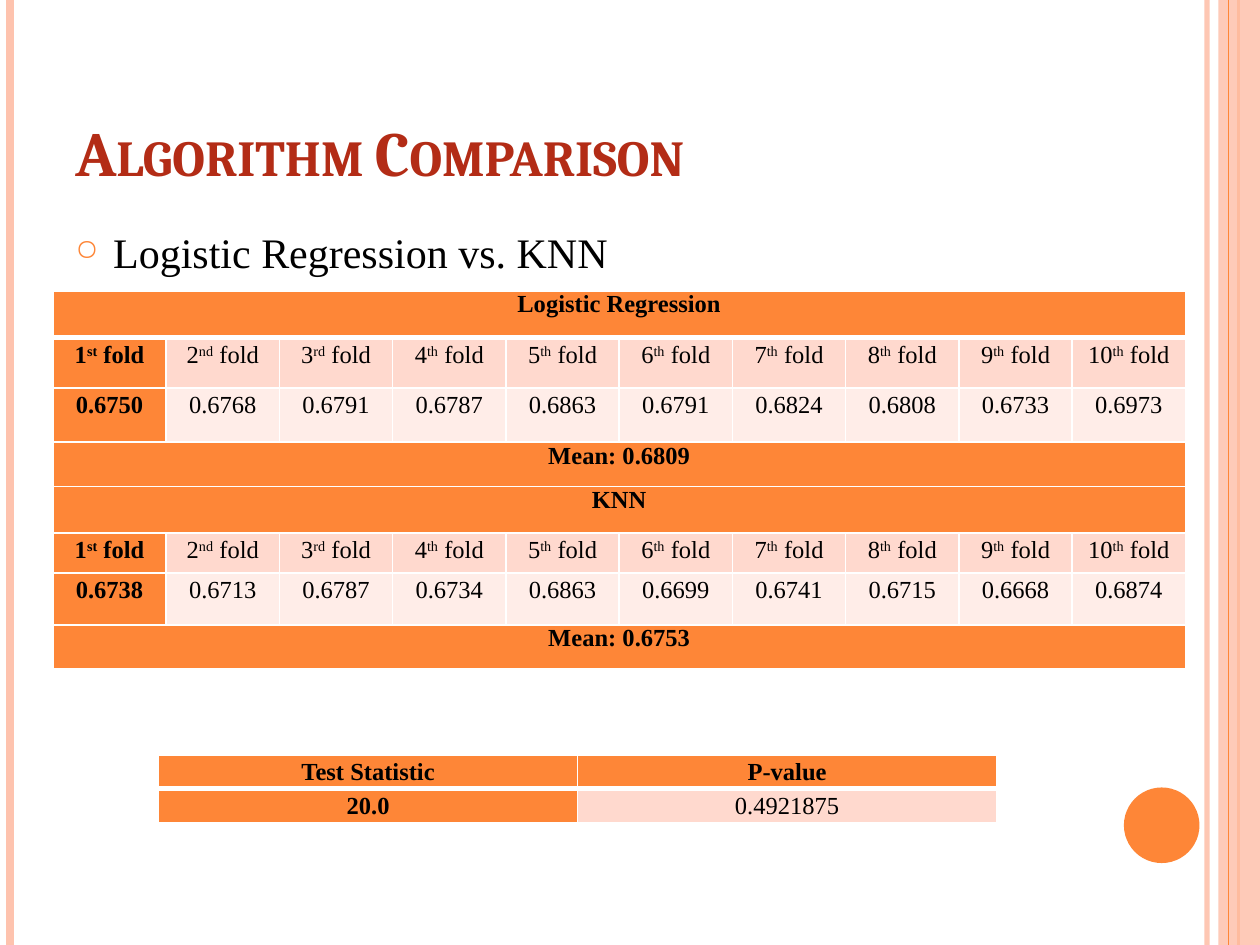
from lxml import etree
from pptx import Presentation
from pptx.dml.color import RGBColor
from pptx.enum.shapes import MSO_CONNECTOR, MSO_SHAPE
from pptx.enum.text import MSO_ANCHOR, PP_ALIGN
from pptx.oxml.ns import qn
from pptx.util import Inches, Pt

ORANGE = RGBColor(0xFE, 0x86, 0x37)
PEACH = RGBColor(0xFE, 0xC3, 0xAE)
LIGHT = RGBColor(0xFF, 0xD9, 0xCE)
PALE = RGBColor(0xFF, 0xED, 0xE8)
RED = RGBColor(0xB3, 0x2C, 0x16)
BLACK = RGBColor(0, 0, 0)
WHITE = RGBColor(0xFF, 0xFF, 0xFF)

BODY_FONT = "Times New Roman"
TITLE_FONT = "Cambria"
SLIDE_W, SLIDE_H = 10, 7.5

SUFFIXES = ["st", "nd", "rd"] + ["th"] * 7
FOLDS = [(str(i), suffix, " fold") for i, suffix in enumerate(SUFFIXES, 1)]
LOGISTIC = ["0.6750", "0.6768", "0.6791", "0.6787", "0.6863",
            "0.6791", "0.6824", "0.6808", "0.6733", "0.6973"]
KNN = ["0.6738", "0.6713", "0.6787", "0.6734", "0.6863",
       "0.6699", "0.6741", "0.6715", "0.6668", "0.6874"]
FOLD_ROWS = [
    (0.37, ["Logistic Regression"], ORANGE),
    (0.4, FOLDS, LIGHT),
    (0.43, LOGISTIC, PALE),
    (0.35, ["Mean: 0.6809"], ORANGE),
    (0.37, ["KNN"], ORANGE),
    (0.32, FOLDS, LIGHT),
    (0.41, KNN, PALE),
    (0.35, ["Mean: 0.6753"], ORANGE),
]
TEST_ROWS = [
    (0.25, ["Test Statistic", "P-value"], ORANGE),
    (0.25, ["20.0", "0.4921875"], LIGHT),
]


def set_alpha(fill_parent, percent):
    color = next(fill_parent.iter(qn("a:srgbClr")))
    etree.SubElement(color, qn("a:alpha"), val=str(percent * 1000))


def style_font(font, name, size, color, bold=False):
    font.name = name
    font.size = Pt(size)
    font.color.rgb = color
    font.bold = bold


def add_rule(slide, x, color, width):
    line = slide.shapes.add_connector(
        MSO_CONNECTOR.STRAIGHT, Inches(x), 0, Inches(x), Inches(SLIDE_H))
    line.line.color.rgb = color
    line.line.width = Pt(width)
    etree.SubElement(line._element.spPr, qn("a:effectLst"))
    return line


def add_filled(slide, shape_type, box, color):
    sp = slide.shapes.add_shape(shape_type, *map(Inches, box))
    sp.shadow.inherit = False
    sp.fill.solid()
    sp.fill.fore_color.rgb = color
    sp.line.fill.background()
    return sp


def add_side_decoration(slide):
    inner = add_rule(slide, 9.58, PEACH, 3)
    set_alpha(inner._element.spPr, 93)
    add_rule(slide, 0.08, PEACH, 4.5)
    add_rule(slide, 9.83, ORANGE, 1.5)
    band = add_filled(slide, MSO_SHAPE.RECTANGLE,
                      (9.67, 0, 0.33, SLIDE_H), PEACH)
    set_alpha(band._element.spPr, 87)
    add_rule(slide, 9.75, ORANGE, 0.75)
    add_filled(slide, MSO_SHAPE.OVAL, (8.92, 6.25, 0.6, 0.6), ORANGE)


def add_text(slide, box, text):
    tf = slide.shapes.add_textbox(*map(Inches, box)).text_frame
    tf.word_wrap = True
    tf.text = text
    return tf


def add_title(slide, box, text):
    tf = add_text(slide, box, text)
    tf.vertical_anchor = MSO_ANCHOR.BOTTOM
    r = tf.paragraphs[0].runs[0]
    style_font(r.font, TITLE_FONT, 36, RED, bold=True)
    r._r.get_or_add_rPr().set("cap", "small")


def add_bullet(slide, box, text):
    p = add_text(slide, box, text).paragraphs[0]
    pPr = p._p.get_or_add_pPr()
    pPr.set("marL", str(Inches(0.3)))
    pPr.set("indent", str(-Inches(0.3)))
    color = etree.SubElement(pPr, qn("a:buClr"))
    etree.SubElement(color, qn("a:srgbClr"), val=str(ORANGE))
    etree.SubElement(pPr, qn("a:buSzPct"), val="70000")
    etree.SubElement(pPr, qn("a:buChar"), char="○")
    style_font(p.runs[0].font, BODY_FONT, 24, BLACK)


def set_borders(cell, top, bottom):
    tcPr = cell._tc.get_or_add_tcPr()
    for side, width in (("L", 1), ("R", 1), ("T", top), ("B", bottom)):
        ln = etree.SubElement(tcPr, qn(f"a:ln{side}"), w=str(Pt(width)))
        fill = etree.SubElement(ln, qn("a:solidFill"))
        etree.SubElement(fill, qn("a:srgbClr"), val=str(WHITE))


def fill_cell_text(cell, content, bold, spacing):
    """Write a string, or a (number, superscript, rest) triple."""
    p = cell.text_frame.paragraphs[0]
    p.alignment = PP_ALIGN.CENTER
    p.line_spacing = spacing
    parts = (content,) if isinstance(content, str) else content
    for i, part in enumerate(parts):
        r = p.add_run()
        r.text = part
        style_font(r.font, BODY_FONT, 14, BLACK, bold)
        if i == 1:
            r._r.get_or_add_rPr().set("baseline", "30000")


def add_results_table(slide, box, rows, n_cols):
    """Rows are (height, cells, fill); a single cell spans the whole row."""
    table = slide.shapes.add_table(
        len(rows), n_cols, *map(Inches, box)).table
    for col in table.columns:
        col.width = Inches(box[2] / n_cols)
    for i, (height, contents, color) in enumerate(rows):
        table.rows[i].height = Inches(height)
        spans = len(contents) == 1
        for j in range(n_cols):
            cell = table.cell(i, j)
            cell.margin_left = cell.margin_right = Inches(0.07)
            cell.margin_top = cell.margin_bottom = 0
            set_borders(cell, 3 if i == 1 else 1, 3 if i == 0 else 1)
            cell.fill.solid()
            cell.fill.fore_color.rgb = ORANGE if j == 0 else color
        if spans:
            table.cell(i, 0).merge(table.cell(i, n_cols - 1))
        for j, content in enumerate(contents):
            fill_cell_text(table.cell(i, j), content,
                           bold=j == 0 or color == ORANGE,
                           spacing=1.0 if spans else 1.15)


def main():
    prs = Presentation()
    prs.slide_width, prs.slide_height = Inches(SLIDE_W), Inches(SLIDE_H)
    slide = prs.slides.add_slide(prs.slide_layouts[6])
    add_side_decoration(slide)
    add_title(slide, (0.5, 0.3, 8.17, 1.25), "Algorithm Comparison")
    add_bullet(slide, (0.5, 1.75, 8.17, 5.33), "Logistic Regression vs. KNN")
    add_results_table(slide, (0.42, 2.31, 8.99, 3.01), FOLD_ROWS, 10)
    add_results_table(slide, (1.26, 5.99, 6.65, 0.5), TEST_ROWS, 2)
    prs.save("out.pptx")


if __name__ == "__main__":
    main()
